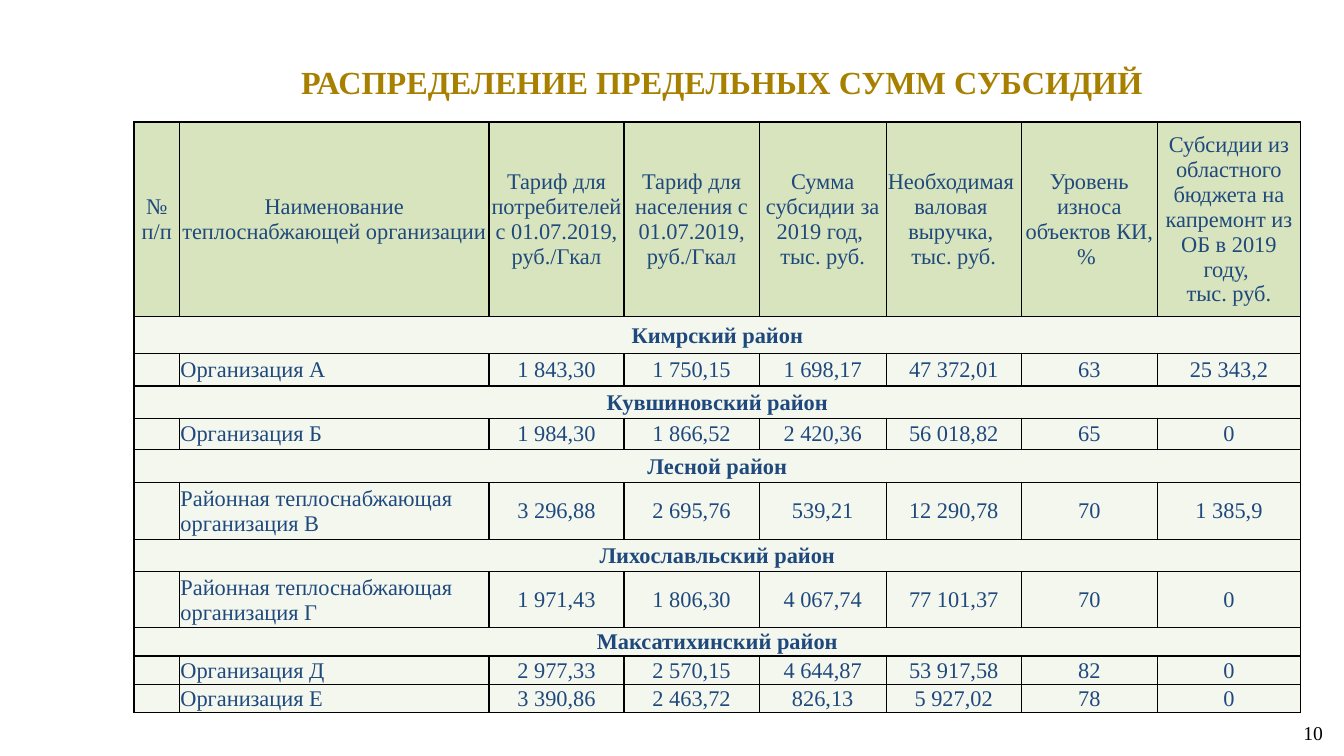
import dataclasses

import pptx
import pptx.dml.color
import pptx.enum.text
import pptx.oxml
import pptx.oxml.ns
import pptx.util

Inches = pptx.util.Inches
Pt = pptx.util.Pt
Align = pptx.enum.text.PP_ALIGN
Middle = pptx.enum.text.MSO_ANCHOR.MIDDLE

FONT = "Times New Roman"
GOLD, NAVY, BLACK, WHITE = "A88000", "1F497D", "000000", "FFFFFF"
HEADER_GREEN, ROW_GREEN = "D7E4BD", "EBF1DE"


@dataclasses.dataclass
class Organization:
    name: str
    figures: list[str]
    height: float


@dataclasses.dataclass
class District:
    name: str
    height: float
    organizations: list[Organization]


@dataclasses.dataclass
class CellStyle:
    fill: str = ROW_GREEN
    opacity: int = 50
    align: Align = Align.CENTER
    bold: bool = False


COLUMN_WIDTHS = [0.45, 3.07, 1.34, 1.34, 1.26, 1.34, 1.35, 1.42]
HEADER_HEIGHT = 1.93
HEADINGS = [
    "№ п/п",
    "Наименование теплоснабжающей организации",
    "Тариф для потребителей с 01.07.2019,\nруб./Гкал",
    "Тариф для населения с 01.07.2019,\nруб./Гкал",
    "Сумма субсидии за 2019 год, \nтыс. руб.",
    "Необходимая \nваловая \nвыручка, \nтыс. руб.",
    "Уровень износа объектов КИ, % ",
    "Субсидии из областного бюджета на капремонт из ОБ в 2019 году, \nтыс. руб.",
]
DISTRICTS = [
    District("Кимрский район", 0.37, [
        Organization("Организация А",
                     ["1 843,30", "1 750,15", "1 698,17", "47 372,01", "63", "25 343,2"], 0.32)]),
    District("Кувшиновский район", 0.32, [
        Organization("Организация Б",
                     ["1 984,30", "1 866,52", "2 420,36", "56 018,82", "65", "0"], 0.31)]),
    District("Лесной район", 0.33, [
        Organization("Районная теплоснабжающая организация В",
                     ["3 296,88", "2 695,76", "539,21", "12 290,78", "70", "1 385,9"], 0.56)]),
    District("Лихославльский район", 0.32, [
        Organization("Районная теплоснабжающая организация Г",
                     ["1 971,43", "1 806,30", "4 067,74", "77 101,37", "70", "0"], 0.56)]),
    District("Максатихинский район", 0.28, [
        Organization("Организация Д",
                     ["2 977,33", "2 570,15", "4 644,87", "53 917,58", "82", "0"], 0.28),
        Organization("Организация Е",
                     ["3 390,86", "2 463,72", "826,13", "5 927,02", "78", "0"], 0.28)]),
]


def rgb(color: str) -> pptx.dml.color.RGBColor:
    return pptx.dml.color.RGBColor.from_string(color)


def set_all(target: object, values: dict) -> None:
    for name, value in values.items():
        setattr(target, name, value)


def write(frame, text: str, size: float, color: str, align: Align, bold: bool = False) -> None:
    frame.text = text
    for paragraph in frame.paragraphs:
        paragraph.alignment = align
        for run in paragraph.runs:
            set_all(run.font, {"name": FONT, "size": Pt(size), "bold": bold})
            run.font.color.rgb = rgb(color)


def add_borders(cell) -> None:
    properties = cell._tc.get_or_add_tcPr()
    for index, side in enumerate(("lnL", "lnR", "lnT", "lnB")):
        properties.insert(index, pptx.oxml.parse_xml(
            f'<a:{side} {pptx.oxml.ns.nsdecls("a")} w="12700"><a:solidFill>'
            f'<a:srgbClr val="{BLACK}"/></a:solidFill></a:{side}>'))


def format_cell(cell, text: str, style: CellStyle) -> None:
    edge = Inches(0.01)
    set_all(cell, {"margin_left": edge, "margin_right": edge, "margin_top": edge,
                   "margin_bottom": 0, "vertical_anchor": Middle})
    cell.fill.solid()
    cell.fill.fore_color.rgb = rgb(style.fill)
    if style.opacity < 100:
        color = cell._tc.tcPr.find(".//" + pptx.oxml.ns.qn("a:srgbClr"))
        color.append(pptx.oxml.parse_xml(
            f'<a:alpha {pptx.oxml.ns.nsdecls("a")} val="{style.opacity * 1000}"/>'))
    add_borders(cell)
    write(cell.text_frame, text, 16, NAVY, style.align, style.bold)
    if not text:
        # Keeps empty cells from stretching the row
        cell.text_frame.paragraphs[0]._p.get_or_add_endParaRPr().set("sz", "1600")


def fill_row(table, row: int, height: float, texts: list[str], styles: list[CellStyle]) -> None:
    table.rows[row].height = Inches(height)
    for column, (text, style) in enumerate(zip(texts, styles)):
        format_cell(table.cell(row, column), text, style)


def add_title(slide) -> None:
    title = slide.shapes.title
    set_all(title, {"left": Inches(1.85), "top": Inches(0.56),
                    "width": Inches(10.63), "height": Inches(0.49)})
    set_all(title.text_frame, {"vertical_anchor": Middle, "word_wrap": True})
    write(title.text_frame, "РАСПРЕДЕЛЕНИЕ ПРЕДЕЛЬНЫХ СУММ СУБСИДИЙ", 23, GOLD,
          Align.CENTER, True)


def add_page_number(slide) -> None:
    page_number = slide.shapes.add_textbox(Inches(12.81), Inches(7.1), Inches(0.41), Inches(0.34))
    page_number.fill.solid()
    page_number.fill.fore_color.rgb = rgb(WHITE)
    page_number.text_frame.word_wrap = True
    write(page_number.text_frame, "10", 14, BLACK, Align.RIGHT)


def add_subsidy_table(slide) -> None:
    row_count = 1 + sum(1 + len(district.organizations) for district in DISTRICTS)
    columns = len(COLUMN_WIDTHS)
    subsidies = slide.shapes.add_table(row_count, columns, Inches(1.33), Inches(1.21),
                                       Inches(11.57), Inches(5.88)).table
    set_all(subsidies, {"first_row": False, "horz_banding": False})
    for column, width in zip(subsidies.columns, COLUMN_WIDTHS):
        column.width = Inches(width)

    # Column headings
    fill_row(subsidies, 0, HEADER_HEIGHT, HEADINGS, [CellStyle(HEADER_GREEN, 100)] * columns)

    # Districts and their organizations
    figure = CellStyle()
    organization_styles = [figure, CellStyle(align=Align.LEFT)] + [figure] * (columns - 2)
    row = 1
    for district in DISTRICTS:
        fill_row(subsidies, row, district.height, [district.name] + [""] * (columns - 1),
                 [CellStyle(bold=True)] * columns)
        subsidies.cell(row, 0).merge(subsidies.cell(row, columns - 1))
        row += 1
        for organization in district.organizations:
            fill_row(subsidies, row, organization.height,
                     ["", organization.name, *organization.figures], organization_styles)
            row += 1


def main() -> None:
    presentation = pptx.Presentation()
    set_all(presentation, {"slide_width": Inches(13.33), "slide_height": Inches(7.5)})
    slide = presentation.slides.add_slide(presentation.slide_layouts.get_by_name("Title Only"))
    add_title(slide)
    add_page_number(slide)
    add_subsidy_table(slide)
    presentation.save("out.pptx")


if __name__ == "__main__":
    main()
